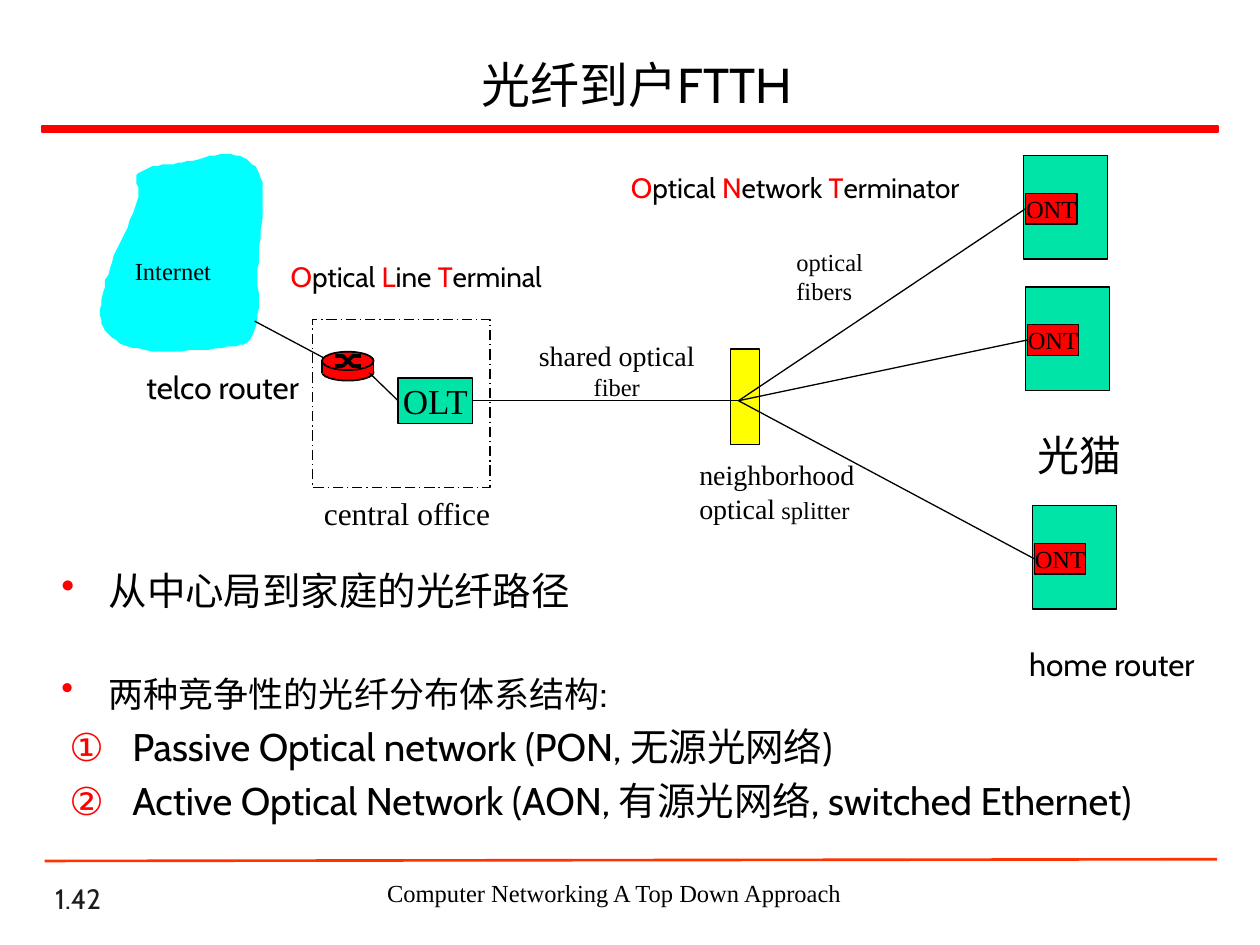
"""Build a slide that explains fibre to the home with a network diagram."""
import pptx
import pptx.util
import pptx.dml.color
import pptx.enum.dml
import pptx.enum.shapes
import pptx.enum.text
import pptx.oxml
import pptx.oxml.ns

Pt = pptx.util.Pt
SHAPE = pptx.enum.shapes.MSO_SHAPE
ALIGN = pptx.enum.text.PP_ALIGN
ANCHOR = pptx.enum.text.MSO_ANCHOR
SERIF, SANS = "Times New Roman", "Cabin"
BLACK, RED, GREEN, YELLOW, CYAN = "000000", "FF0000", "00E4A8", "FFFF00", "00FFFF"
CLOUD_START = (149.8, 104.4)
CLOUD_CURVES = [
    ((147.6, 94.3), (141.8, 90.7), (134.6, 88.6)),
    ((126.7, 86.4), (113.8, 91.4), (104.4, 92.9)),
    ((95, 94.3), (83.5, 95), (79.2, 98.6)),
    ((74.9, 102.2), (81.4, 106.6), (78.5, 115.9)),
    ((75.6, 125.3), (66.2, 141.8), (62.6, 153.4)),
    ((59, 164.9), (55.4, 177.1), (58.3, 185)),
    ((61.2, 193), (67.7, 197.3), (79.2, 199.4)),
    ((90, 202.3), (115.9, 200.2), (127.4, 198.7)),
    ((138.2, 197.3), (141.8, 198), (145.4, 190.1)),
    ((149, 182.2), (146.9, 163.4), (147.6, 149.8)),
    ((148.3, 135.4), (151.9, 114.5), CLOUD_START),
]


def rgb(value):
    """Return the colour for a hex string."""
    return pptx.dml.color.RGBColor.from_string(value)


def style(shape, fill, line, width=0.75):
    """Set the fill and outline of a shape; None leaves either out."""
    shape.shadow.inherit = False
    if fill:
        shape.fill.solid()
        shape.fill.fore_color.rgb = rgb(fill)
    else:
        shape.fill.background()
    if line:
        shape.line.color.rgb = rgb(line)
        shape.line.width = Pt(width)
    else:
        shape.line.fill.background()


def write_paragraph(paragraph, runs, size, font, color=BLACK, align=ALIGN.LEFT):
    """Fill a paragraph with (text, overrides) runs, or with one plain string."""
    paragraph.alignment = align
    paragraph.font.size = Pt(size)
    paragraph.font.name = font
    paragraph.font.color.rgb = rgb(color)
    for text, changes in [(runs, {})] if isinstance(runs, str) else runs:
        run = paragraph.add_run()
        run.text = text
        if "size" in changes:
            run.font.size = Pt(changes["size"])
        if "color" in changes:
            run.font.color.rgb = rgb(changes["color"])


def add_shape(slide, kind, box, fill, line=BLACK, width=0.75):
    """Add a preset shape at (left, top, width, height)."""
    shape = slide.shapes.add_shape(kind, *map(Pt, box))
    style(shape, fill, line, width)
    return shape


def add_label_box(slide, box, fill, text, size):
    """Add a rectangle with a centred label."""
    shape = add_shape(slide, SHAPE.RECTANGLE, box, fill)
    shape.text_frame.word_wrap = False
    shape.text_frame.vertical_anchor = ANCHOR.MIDDLE
    write_paragraph(shape.text_frame.paragraphs[0], text, size, SERIF, align=ALIGN.CENTER)
    return shape


def add_text(slide, box, lines, size, font=SERIF, color=BLACK, align=ALIGN.LEFT,
             anchor=ANCHOR.TOP, wrap=False):
    """Add a text box with one paragraph for each line."""
    frame = slide.shapes.add_textbox(*map(Pt, box)).text_frame
    frame.word_wrap = wrap
    frame.vertical_anchor = anchor
    for index, runs in enumerate(lines):
        paragraph = frame.add_paragraph() if index else frame.paragraphs[0]
        write_paragraph(paragraph, runs, size, font, color, align)


def add_line(slide, start, end, width=0.75, color=BLACK, begin_at=None, end_at=None):
    """Add a straight connector, joined to (shape, site) where given."""
    line = slide.shapes.add_connector(
        pptx.enum.shapes.MSO_CONNECTOR.STRAIGHT, *map(Pt, start + end))
    line.line.color.rgb = rgb(color)
    line.line.width = Pt(width)
    properties = line._element.spPr
    properties.append(properties.makeelement(pptx.oxml.ns.qn("a:effectLst"), {}))
    if begin_at:
        line.begin_connect(*begin_at)
    if end_at:
        line.end_connect(*end_at)


def add_cloud(slide):
    """Draw the Internet cloud from its cubic curves."""
    start, points, steps = CLOUD_START, [], 10
    for first, second, end in CLOUD_CURVES:
        for t in (step / steps for step in range(1, steps + 1)):
            points.append(tuple(
                a * (1 - t) ** 3 + 3 * b * t * (1 - t) ** 2 + 3 * c * t ** 2 * (1 - t) + d * t ** 3
                for a, b, c, d in zip(start, first, second, end)))
        start = end
    builder = slide.shapes.build_freeform(*CLOUD_START, scale=Pt(1))
    builder.add_line_segments(points, close=True)
    style(builder.convert_to_shape(), CYAN, None)


def add_router(slide, left, top):
    """Draw a disc-shaped router with a crossed arrow mark."""
    width = 29.5
    add_shape(slide, SHAPE.OVAL, (left, top + 7, width, 9.5), RED, width=1)
    add_shape(slide, SHAPE.RECTANGLE, (left, top + 6.5, width, 6), RED, None)
    for x in (left, left + width):
        add_line(slide, (x, top + 5), (x, top + 12), 1)
    add_shape(slide, SHAPE.OVAL, (left, top, width, 10.5), RED, width=1)
    x, y = left + width / 2, top + 5.25
    for side in (-1, 1):
        add_line(slide, (x - 3, y + 3 * side), (x + 3, y - 3 * side), 2.25)
        for level in (-3, 3):
            add_line(slide, (x + 7.5 * side, y + level), (x + 2.5 * side, y + level), 2.25)


def add_home(slide, left, top):
    """Draw a home with its terminator and return the terminator."""
    add_shape(slide, SHAPE.RECTANGLE, (left, top, 48, 59), GREEN)
    return add_label_box(slide, (left + 1, top + 21.6, 29.5, 17.4), RED, "ONT", 14)


def add_acronym(slide, box, phrase):
    """Write a phrase whose words start with a red letter."""
    runs = []
    for index, word in enumerate(phrase.split()):
        if index:
            runs[-1] = (runs[-1][0] + " ", {})
        runs += [(word[0], {"color": RED}), (word[1:], {})]
    add_text(slide, box, [runs], 16, SANS, anchor=ANCHOR.MIDDLE)


def add_bullets(slide, box, items):
    """Write a list of (runs, size, bullet, margin, indent, space before)."""
    frame = slide.shapes.add_textbox(*map(Pt, box)).text_frame
    frame.word_wrap = True
    for index, (runs, size, bullet, margin, indent, space) in enumerate(items):
        paragraph = frame.add_paragraph() if index else frame.paragraphs[0]
        properties = paragraph._p.get_or_add_pPr()
        properties.set("marL", str(Pt(margin)))
        properties.set("indent", str(Pt(-indent)))
        namespace = pptx.oxml.ns.nsdecls("a")
        for xml in (f'<a:buClr {namespace}><a:srgbClr val="{RED}"/></a:buClr>',
                    f"<a:{bullet} {namespace}/>"):
            properties.append(pptx.oxml.parse_xml(xml))
        paragraph.space_before = Pt(space)
        write_paragraph(paragraph, runs, size, SANS)


def add_diagram(slide):
    """Draw the network from the Internet to the homes."""
    terminators = [add_home(slide, *corner) for corner in ((585, 89), (586, 164), (590, 289))]
    add_shape(slide, SHAPE.RECTANGLE, (417.5, 199.5, 16.5, 54.5), YELLOW)
    office = add_shape(slide, SHAPE.RECTANGLE, (178.5, 182.5, 101.5, 96), None)
    office.line.dash_style = pptx.enum.dml.MSO_LINE.LONG_DASH_DOT
    terminal = add_label_box(slide, (227.5, 216, 42.5, 26), GREEN, "OLT", 20)
    hub = (422, 229)
    for terminator in terminators:
        add_line(slide, hub, hub, end_at=(terminator, 1))
    add_line(slide, hub, hub, begin_at=(terminal, 3))
    add_router(slide, 184, 201)
    add_line(slide, (211, 213), (228, 229), end_at=(terminal, 1))
    add_cloud(slide)
    add_line(slide, (145.5, 183.5), (185, 204.5))
    add_text(slide, (70, 143, 58, 24), ["Internet"], 14)
    add_text(slide, (178, 278.5, 111, 29), ["central office"], 18)
    add_text(slide, (392.5, 258, 109, 46),
             ["neighborhood", [("optical", {}), (" splitter", {"size": 14})]], 16)
    add_text(slide, (300, 190, 105, 44),
             ["shared optical", [("fiber", {"size": 14})]], 16, align=ALIGN.CENTER)
    add_text(slide, (448, 137.5, 52.5, 41), ["optical", "fibers"], 14)
    add_acronym(slide, (353.5, 89, 202, 36), "Optical Network Terminator")
    add_acronym(slide, (159, 140, 158, 36), "Optical Line Terminal")
    add_text(slide, (586, 242, 63, 36), ["光猫"], 24)
    add_text(slide, (74, 206.5, 106.5, 29), ["telco router"], 18, SANS, align=ALIGN.CENTER)
    add_text(slide, (581, 365, 114, 29), ["home router"], 18, SANS)


def main():
    """Build and save the slide."""
    presentation = pptx.Presentation()
    presentation.slide_width, presentation.slide_height = Pt(720), Pt(540)
    slide = presentation.slides.add_slide(presentation.slide_layouts[6])
    add_text(slide, (24.5, 502.5, 150, 24), ["1.42"], 16, SANS, "1C1C1C",
             anchor=ANCHOR.BOTTOM, wrap=True)
    add_shape(slide, SHAPE.RECTANGLE, (24, 72, 672, 3.6), RED, RED, 1)
    add_line(slide, (25.5, 492), (695.5, 491), 1.5, "FF3300")
    add_text(slide, (204, 498, 294, 24.5), ["Computer Networking A Top Down Approach"], 14,
             align=ALIGN.CENTER, wrap=True)
    add_diagram(slide)
    add_text(slide, (32.5, 23, 663, 50), ["光纤到户FTTH"], 28, SANS, align=ALIGN.CENTER,
             anchor=ANCHOR.MIDDLE, wrap=True)
    dot, number = 'buChar char="•"', 'buAutoNum type="circleNumDbPlain"'
    add_bullets(slide, (28, 320.5, 670, 183), [
        ("从中心局到家庭的光纤路径", 22, dot, 27, 27, 0),
        ([("两种竞争性的光纤分布体系结构", {}), (":", {"size": 22})], 20, dot, 27, 27, 32),
        ("Passive Optical network (PON, 无源光网络)", 22, number, 40.5, 36, 4.4),
        ("Active Optical Network (AON, 有源光网络, switched Ethernet)", 22, number, 40.5, 36, 4.4),
    ])
    presentation.save("out.pptx")


if __name__ == "__main__":
    main()
